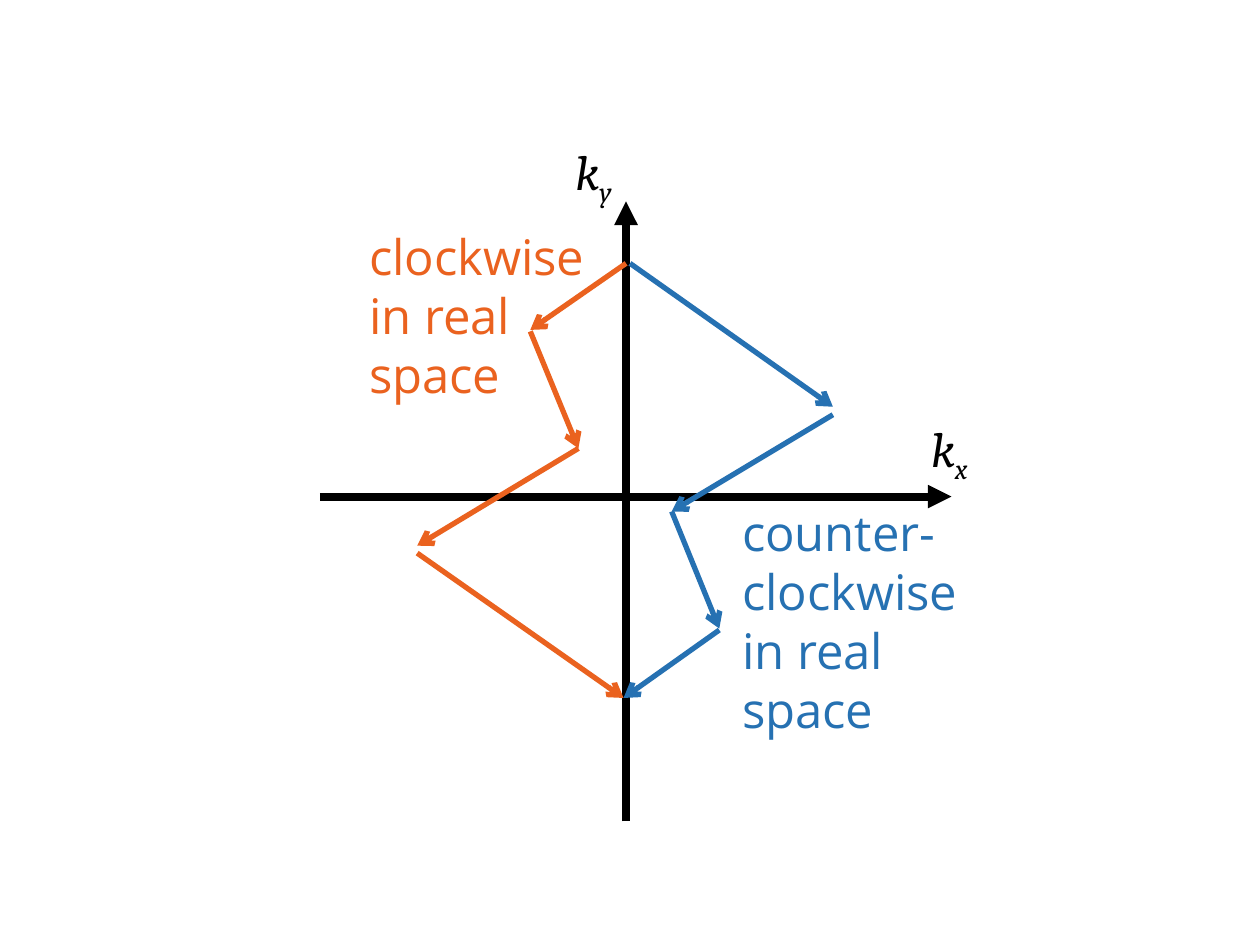
from itertools import chain

from lxml.etree import SubElement
from pptx import Presentation
from pptx.dml.color import RGBColor
from pptx.enum.shapes import MSO_CONNECTOR as Connector
from pptx.enum.text import MSO_AUTO_SIZE as AutoSize
from pptx.oxml.ns import qn
from pptx.util import Cm, Pt

COLORS = {"axis": "000000", "clockwise": "EA621F", "counter": "2671B2"}


class Diagram:
    """Holds the style and the current slide."""

    font, symbol_font, size = "Open Sans", "Cambria", Pt(28)

    def __init__(self, page):
        self.page = page

    def arrow(self, start, end, color, width=3, head="arrow"):
        ends = map(Cm, chain(start, end))
        line = self.page.shapes.add_connector(Connector.STRAIGHT, *ends)
        line.line.color.rgb = RGBColor.from_string(COLORS[color])
        line.line.width = Pt(width)
        SubElement(line.line._get_or_add_ln(), qn("a:tailEnd"), type=head)
        SubElement(line._element.spPr, qn("a:effectLst"))

    def path_of_arrows(self, segments, color):
        for start, end in segments:
            self.arrow(start, end, color)

    def text_box(self, area, color, font, wrap):
        box = self.page.shapes.add_textbox(*map(Cm, area))
        box.text_frame.word_wrap = wrap
        box.text_frame.auto_size = AutoSize.SHAPE_TO_FIT_TEXT
        para = box.text_frame.paragraphs[0]
        para.font.name, para.font.size = font, self.size
        para.font.color.rgb = RGBColor.from_string(COLORS[color])
        return para

    def label(self, text, area, color):
        para = self.text_box(area, color, self.font, True)
        para.text = text

    def symbol(self, base, index, area):
        para = self.text_box(area, "axis", self.symbol_font, False)
        para.font.italic = True
        para.add_run().text = base
        span = para.add_run()
        span.text = index
        span._r.get_or_add_rPr().set("baseline", "-25000")


deck = Presentation()
deck.slide_width, deck.slide_height = Cm(25.4), Cm(19.05)
diagram = Diagram(deck.slides.add_slide(deck.slide_layouts[6]))

# Axes
diagram.arrow((12.62, 16.56), (12.62, 4.06), "axis", 4.5, "triangle")
diagram.arrow((6.45, 10.01), (19.18, 10.01), "axis", 4.5, "triangle")
diagram.symbol("k", "x", (18.52, 8.31, 1.3, 1.45))
diagram.symbol("k", "y", (11.35, 2.72, 1.3, 1.45))

# Direction labels
diagram.label("clockwise in real space", (7.19, 4.45, 4.93, 3.84), "clockwise")
diagram.label("counter-\vclockwise in real space", (14.71, 10.01, 4.9, 5.05), "counter")

# Left path, top to bottom
diagram.path_of_arrows([
    ((12.62, 5.31), (10.69, 6.65)),
    ((10.69, 6.68), (11.66, 9.04)),
    ((11.66, 9.04), (8.41, 11)),
    ((8.41, 11.15), (12.57, 14.07)),
], "clockwise")

# Right path, top to bottom
diagram.path_of_arrows([
    ((12.7, 5.31), (16.79, 8.2)),
    ((16.79, 8.36), (13.54, 10.31)),
    ((13.54, 10.31), (14.5, 12.67)),
    ((14.5, 12.7), (12.57, 14.07)),
], "counter")

deck.save("out.pptx")
